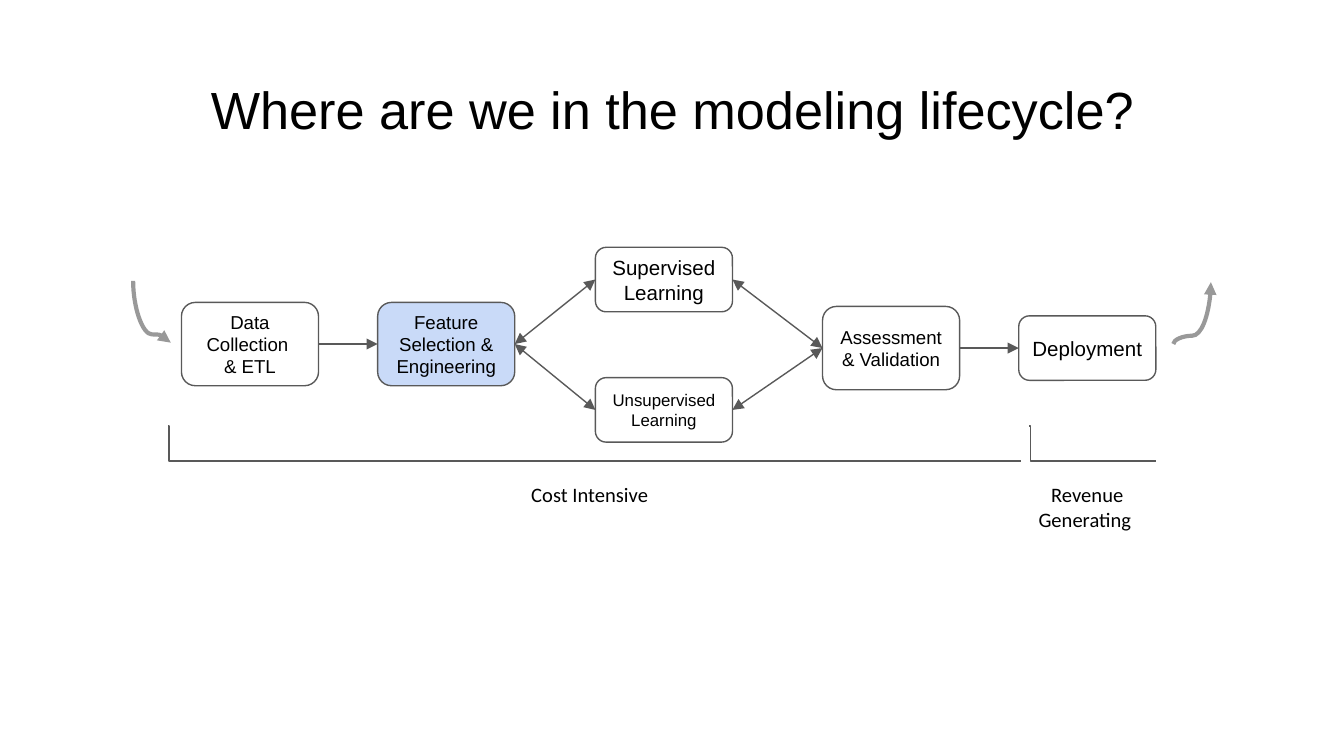
from pptx import Presentation
from pptx import util as u
from pptx.dml.color import RGBColor
from pptx.enum import shapes, text
from pptx.oxml.ns import qn
from lxml import etree

deck = Presentation()
deck.slide_width, deck.slide_height = u.Inches(10), u.Inches(10 * 9 / 16)
slide = deck.slides.add_slide(deck.slide_layouts[6])
kinds = shapes.MSO_CONNECTOR


def write(shape, words, size, font, pad=0.07, space=None):
    frame = shape.text_frame
    frame.text = words
    frame.word_wrap = True
    frame.margin_left = frame.margin_right = u.Inches(0.07)
    frame.margin_top = frame.margin_bottom = u.Inches(pad)
    for para in frame.paragraphs:
        para.alignment = text.PP_ALIGN.CENTER
        para.line_spacing = space
        for run in para.runs:
            run.font.size = u.Pt(size)
            run.font.name = font
            run.font.color.rgb = RGBColor.from_string("000000")
    return frame


def link(kind, ends, color="595959", width=0.75, tips=(), adjust=None, turn=0):
    line = slide.shapes.add_connector(kind, *[u.Inches(v) for v in ends])
    line.line.color.rgb = RGBColor.from_string(color)
    line.line.width = u.Pt(width)
    props = line._element.spPr
    for tip in tips:
        etree.SubElement(props.find(qn("a:ln")), qn(f"a:{tip}End"), type="triangle")
    etree.SubElement(props, qn("a:effectLst"))
    if adjust is not None:
        guides = props.find(qn("a:prstGeom")).find(qn("a:avLst"))
        etree.SubElement(guides, qn("a:gd"), name="adj1", fmla=f"val {adjust}")
    if turn:
        props.find(qn("a:xfrm")).set("rot", str(turn * 60000))
    return line


wide, tall, low = 1.02, 0.62, 0.48
steps = [
    ("data", "Data Collection \v& ETL", 1.35, 2.25, tall, 10, None),
    ("feature", "Feature Selection & Engineering", 2.81, 2.25, tall, 10, "C9DAF8"),
    ("guided", "Supervised\vLearning", 4.43, 1.84, low, 11, "FFFFFF"),
    ("free", "Unsupervised\vLearning", 4.43, 2.81, low, 9, None),
    ("assess", "Assessment & Validation", 6.12, 2.28, tall, 10, None),
    ("deploy", "Deployment", 7.58, 2.35, low, 11, None),
]
boxes = {}
for name, words, left, top, high, size, fill in steps:
    box = slide.shapes.add_shape(
        shapes.MSO_SHAPE.FLOWCHART_ALTERNATE_PROCESS,
        u.Inches(left), u.Inches(top), u.Inches(wide), u.Inches(high))
    box.shadow.inherit = False
    if fill:
        box.fill.solid()
        box.fill.fore_color.rgb = RGBColor.from_string(fill)
    else:
        box.fill.background()
    box.line.color.rgb = RGBColor.from_string("595959")
    box.line.width = u.Pt(0.75)
    write(box, words, size, "Arial").vertical_anchor = text.MSO_ANCHOR.MIDDLE
    boxes[name] = box

one, both = ("tail",), ("head", "tail")
flows = [
    ("data", "feature", one),
    ("feature", "guided", both),
    ("feature", "free", both),
    ("free", "assess", both),
    ("guided", "assess", both),
    ("assess", "deploy", one),
]
for start, end, tips in flows:
    line = link(kinds.STRAIGHT, (0, 0, 1, 1), tips=tips)
    line.begin_connect(boxes[start], 3)
    line.end_connect(boxes[end], 1)

link(kinds.CURVE, (1.36, 2.18, 0.9, 2.46), "999999", 2.25, ("tail",), 86700, 270)
link(kinds.CURVE, (8.64, 2.19, 9.1, 2.47), "999999", 2.25, ("head",), 86700, 90)
link(kinds.ELBOW, (1.25, 3.17, 7.6, 3.43), adjust=100)
link(kinds.ELBOW, (7.66, 3.17, 8.6, 3.43), adjust=1000)

for words, left, width in [("Cost Intensive ", 1.23, 6.35), ("Revenue\nGenerating ", 7.59, 1)]:
    label = slide.shapes.add_textbox(u.Inches(left), u.Inches(3.52), u.Inches(width), u.Inches(0.27))
    write(label, words, 11, "Calibri")

title = slide.shapes.add_textbox(u.Inches(0.34), u.Inches(0.49), u.Inches(9.32), u.Inches(0.59))
frame = write(title, "Where are we in the modeling lifecycle?", 28, "Arial", 0.04, 0.85)
frame.vertical_anchor = text.MSO_ANCHOR.BOTTOM

deck.save("out.pptx")
